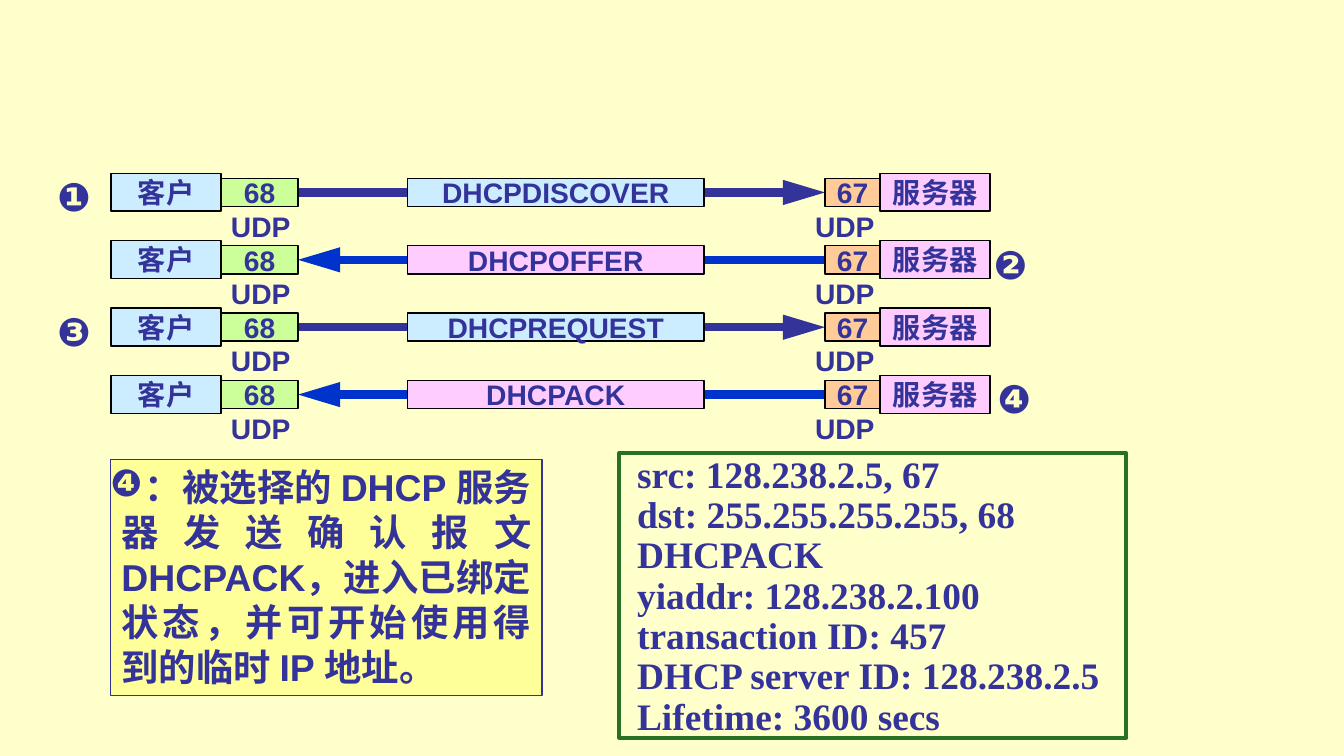
from lxml.etree import SubElement
from pptx import Presentation
from pptx.dml.color import RGBColor
from pptx.enum.shapes import MSO_CONNECTOR, MSO_SHAPE
from pptx.enum.text import MSO_ANCHOR, MSO_AUTO_SIZE, PP_ALIGN
from pptx.oxml.ns import qn
from pptx.util import Pt

HUES = {
    "page": "FFFFCC", "ink": "333399", "edge": "000000", "back": "0033CC",
    "blue": "CCECFF", "pink": "FFCCFF", "peach": "FFCC99", "lime": "CCFF99",
    "note": "FFFF99", "frame": "267126",
}
# mark, its offset from the row's left edge, message
ROWS = [("❶", -34.5, "DHCPDISCOVER"), ("❷", 467.2, "DHCPOFFER"),
        ("❸", -34.5, "DHCPREQUEST"), ("❹", 469.2, "DHCPACK")]
PACKET = ["src: 128.238.2.5, 67", "dst: 255.255.255.255, 68", "DHCPACK",
          "yiaddr: 128.238.2.100", "transaction ID: 457",
          "DHCP server ID: 128.238.2.5", "Lifetime: 3600 secs"]
NOTE = ("：被选择的 DHCP 服务器发送确认报文DHCPACK，"
        "进入已绑定状态，并可开始使用得到的临时 IP 地址。")
SLIM = {"margin_left": Pt(5.76), "margin_right": Pt(5.76),
        "margin_top": Pt(2.7), "margin_bottom": Pt(2.7)}
LOOSE = {"auto_size": MSO_AUTO_SIZE.SHAPE_TO_FIT_TEXT}


def hue(name):
    return RGBColor.from_string(HUES[name])


def apply(item, values):
    for key, value in values.items():
        setattr(item, key, value)


def write(shape, lines, size=15.1, face="Arial", frame=None, para=None):
    """Fill a shape with bold ink-coloured lines, one paragraph each."""
    text = shape.text_frame
    text.text = "\n".join(lines)
    apply(text, {"word_wrap": False, **(frame or {})})
    for line in text.paragraphs:
        apply(line, para or {})
        font = line.runs[0].font
        apply(font, {"size": Pt(size), "name": face, "bold": True})
        font.color.rgb = hue("ink")


def rect(slide, box, fill=None, edge="edge", width=0.75):
    shape = slide.shapes.add_shape(MSO_SHAPE.RECTANGLE, *map(Pt, box))
    shape.shadow.inherit = False
    if fill:
        shape.fill.solid()
        shape.fill.fore_color.rgb = hue(fill)
    else:
        shape.fill.background()
    shape.line.color.rgb = hue(edge)
    shape.line.width = Pt(width)
    return shape


def label(slide, box, words, size=15.1):
    shape = slide.shapes.add_textbox(*map(Pt, box))
    write(shape, [words], size, frame={**SLIM, **LOOSE})


def arrow(slide, start, end, y, tint):
    line = slide.shapes.add_connector(
        MSO_CONNECTOR.STRAIGHT, Pt(start), Pt(y), Pt(end), Pt(y))
    line.line.color.rgb = hue(tint)
    line.line.width = Pt(4.5)
    SubElement(line.line._get_or_add_ln(), qn("a:tailEnd"),
               type="triangle", w="med", len="lg")
    SubElement(line._element.spPr, qn("a:effectLst"))


def exchange(slide, left, top, mark, spot, message, reply):
    """One message between client and server; a reply runs leftwards."""
    ends = (left + 100.2, left + 382.5)
    if reply:
        ends = ends[::-1]
    arrow(slide, *ends, top + 10.2, "back" if reply else "ink")
    cells = [
        ("客户", 0, 0, 59, 20.2, "blue"),
        (message, 158.7, 2.6, 159, 15.1, "pink" if reply else "blue"),
        ("服务器", 412, 0, 59, 20.2, "pink"),
        ("67", 382.5, 2.6, 29.5, 15.1, "peach"),
        ("68", 59, 2.6, 41.2, 15.1, "lime"),
    ]
    for words, dx, dy, width, height, fill in cells:
        cell = rect(slide, (left + dx, top + dy, width, height), fill)
        write(cell, [words], para={"alignment": PP_ALIGN.CENTER},
              frame={**SLIM, "vertical_anchor": MSO_ANCHOR.MIDDLE})
    for dx in (58.5, 371.4):
        label(slide, (left + dx, top + 16.4, 44.4, 23.8), "UDP")
    label(slide, (left + spot, top - 3.2, 33, 31), mark, 21.1)


def packet(slide, left, top, width, height):
    rect(slide, (left, top, width, height), edge="frame", width=2)
    box = (left + 2.4, top - 1.9, 309, 160)
    write(slide.shapes.add_textbox(*map(Pt, box)), PACKET, 20,
          "Times New Roman", {**LOOSE, "word_wrap": True},
          {"line_spacing": 0.9})


def remark(slide, left, top, width, height):
    card = rect(slide, (left, top, width, height), "note", "ink")
    write(card, [NOTE], 20, para={"alignment": PP_ALIGN.JUSTIFY},
          frame={**SLIM, **LOOSE, "word_wrap": True,
                 "vertical_anchor": MSO_ANCHOR.TOP})
    props = card.text_frame.paragraphs[0]._p.get_or_add_pPr()
    props.set("indent", str(Pt(12.5)))
    label(slide, (left - 5.8, top - 2.7, 31, 29.5), "❹", 20)


def main():
    deck = Presentation()
    apply(deck, {"slide_width": Pt(720), "slide_height": Pt(405)})
    slide = deck.slides.add_slide(deck.slide_layouts[6])
    slide.background.fill.solid()
    slide.background.fill.fore_color.rgb = hue("page")
    for i, (mark, spot, message) in enumerate(ROWS):
        exchange(slide, 59.5, 92.9 + 36.1 * i, mark, spot, message,
                 i % 2 == 1)
    packet(slide, 331.8, 242.7, 271.6, 152.6)
    remark(slide, 59.3, 246.2, 231.1, 126.5)
    deck.save("out.pptx")


if __name__ == "__main__":
    main()
